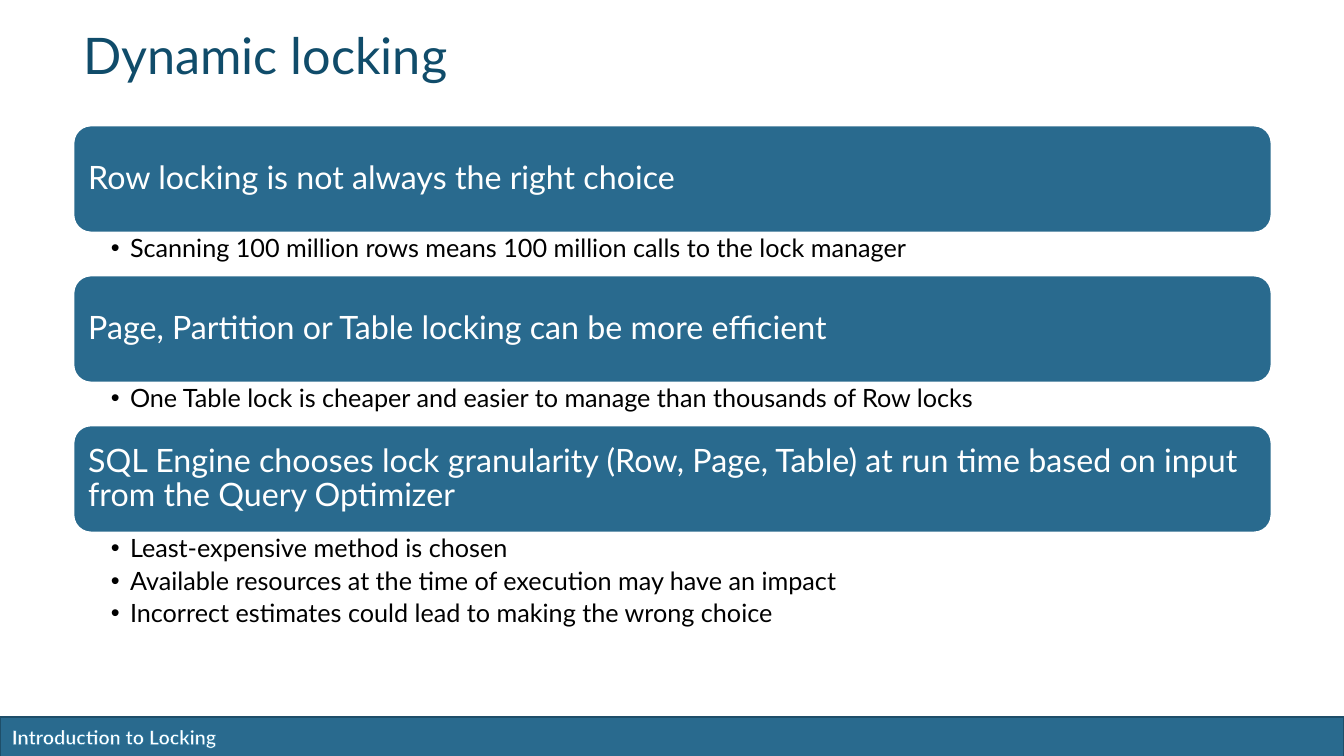
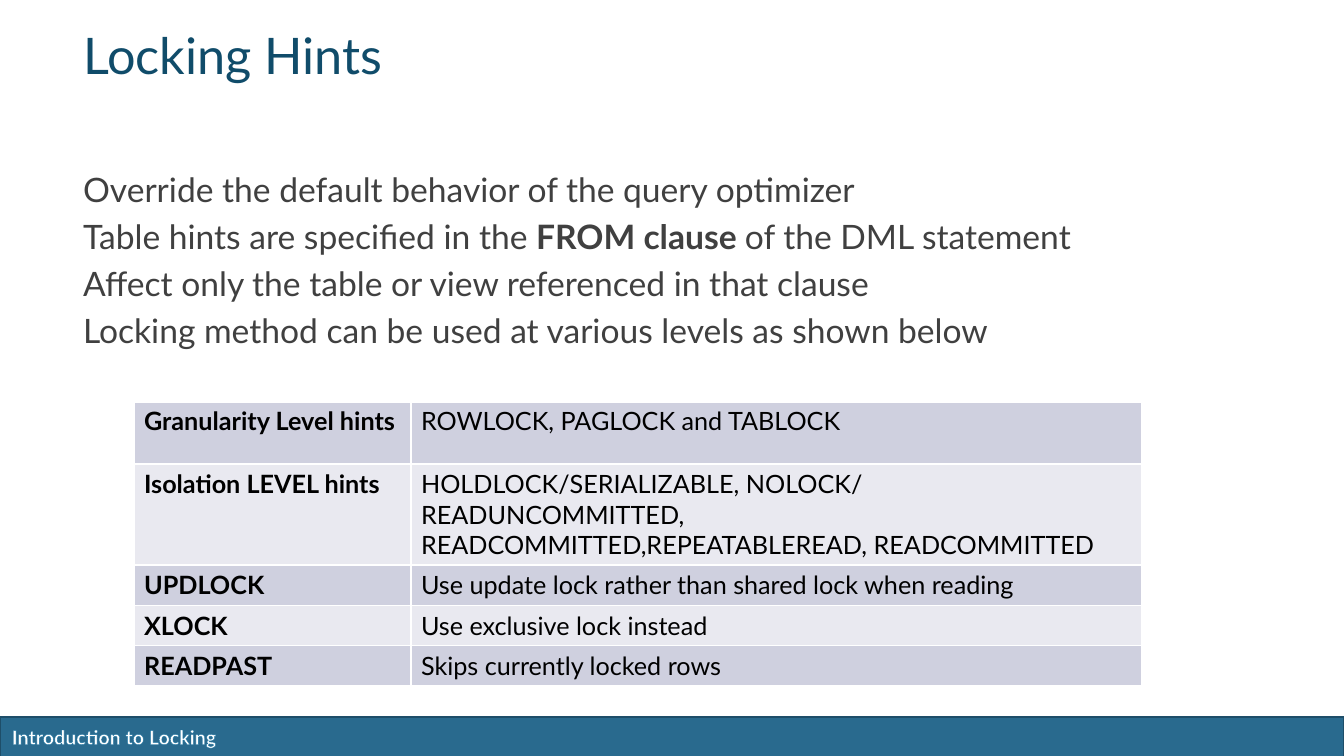
"""Build two slides on dynamic locking and locking hints."""
import pptx
import pptx.util
import pptx.dml.color
import pptx.enum.shapes
import pptx.enum.text
import pptx.oxml.ns
import lxml.etree

PX = 12192000 / 1344
Pt = pptx.util.Pt
Rgb = pptx.dml.color.RGBColor.from_string
Shape = pptx.enum.shapes.MSO_SHAPE
Align = pptx.enum.text.PP_ALIGN
Anchor = pptx.enum.text.MSO_ANCHOR
Auto = pptx.enum.text.MSO_AUTO_SIZE
qn = pptx.oxml.ns.qn
FONT = "Lato"
COLORS = {
    "band": "296A8E", "edge": "1E4E69", "glow": "1872A0", "title": "104C6A",
    "body": "404040", "white": "FFFFFF", "black": "000000",
    "dark": "CFD0DF", "light": "E9E9F0",
}


def px(*sizes):
    """Turn px lengths into EMU."""
    return [round(size * PX) for size in sizes]


def say(par, text, size, color, bold=False):
    """Add one run to a paragraph."""
    run = par.add_run()
    run.text = text
    run.font.name = FONT
    run.font.size = Pt(size)
    run.font.bold = bold
    run.font.color.rgb = Rgb(COLORS[color])
    return run


prs = pptx.Presentation()
prs.slide_width, prs.slide_height = px(1344, 756)
master = prs.slide_master

head = master.placeholders.get(pptx.enum.shapes.PP_PLACEHOLDER.TITLE)
head.left, head.top, head.width, head.height = px(73, 35, 1200, 50)

slides = []
for layout, title in ((5, "Dynamic locking"), (1, "Locking Hints")):
    slide = prs.slides.add_slide(prs.slide_layouts[layout])
    frame = slide.shapes.title.text_frame
    frame.auto_size = Auto.NONE
    par = frame.paragraphs[0]
    par.alignment = Align.LEFT
    par.line_spacing = Pt(35)
    say(par, title, 36, "title")
    slides.append(slide)
bars, hints = slides

band = bars.shapes.add_shape(Shape.RECTANGLE, *px(0, 717, 1344, 40))
band.shadow.inherit = False
band.fill.solid()
band.fill.fore_color.rgb = Rgb(COLORS["band"])
band.line.color.rgb = Rgb(COLORS["edge"])
band.line.width = Pt(2)
foot = bars.shapes.add_textbox(*px(2, 720, 611, 34))
foot.text_frame.word_wrap = True
run = say(foot.text_frame.paragraphs[0], "Introduction to Locking", 14, "white", True)
line = lxml.etree.Element(qn("a:ln"), w=str(Pt(0.8)))
fill = lxml.etree.SubElement(line, qn("a:solidFill"))
lxml.etree.SubElement(fill, qn("a:srgbClr"), val=COLORS["glow"])
run._r.get_or_add_rPr().insert(0, line)
for num, item in enumerate((band, foot), 20):
    item.element.nvSpPr.cNvPr.set("id", str(num))
    master.shapes.element.append(item.element)

topics = [
    ("Row locking is not always the right choice",
     ["Scanning 100 million rows means 100 million calls to the lock manager"]),
    ("Page, Partition or Table locking can be more efficient",
     ["One Table lock is cheaper and easier to manage than thousands of Row locks"]),
    ("SQL Engine chooses lock granularity (Row, Page, Table) at run time "
     "based on input from the Query Optimizer",
     ["Least-expensive method is chosen",
      "Available resources at the time of execution may have an impact",
      "Incorrect estimates could lead to making the wrong choice"]),
]
for num, (topic, points) in enumerate(topics):
    top = 125 + 150 * num
    bar = bars.shapes.add_shape(Shape.ROUNDED_RECTANGLE, *px(73, top, 1199, 108))
    bar.shadow.inherit = False
    bar.fill.solid()
    bar.fill.fore_color.rgb = Rgb(COLORS["band"])
    bar.line.color.rgb = Rgb(COLORS["white"])
    bar.line.width = Pt(2)
    frame = bar.text_frame
    frame.word_wrap = True
    frame.vertical_anchor = Anchor.MIDDLE
    (frame.margin_left, frame.margin_top,
     frame.margin_right, frame.margin_bottom) = px(10, 10, 10, 10)
    par = frame.paragraphs[0]
    par.alignment = Align.LEFT
    par.line_spacing = 0.9
    say(par, topic, 23, "white")

    box = bars.shapes.add_textbox(*px(73, top + 108, 1199, 10 + 32 * len(points)))
    frame = box.text_frame
    frame.word_wrap = True
    (frame.margin_left, frame.margin_top,
     frame.margin_right, frame.margin_bottom) = px(38, 3, 18, 3)
    for row, point in enumerate(points):
        par = frame.add_paragraph() if row else frame.paragraphs[0]
        par.line_spacing = 0.9
        par.space_after = Pt(3.6)
        say(par, point, 18, "black")
        props = par._p.get_or_add_pPr()
        hang = px(19)[0]
        props.set("marL", str(hang))
        props.set("indent", str(-hang))
        lxml.etree.SubElement(props, qn("a:buFont"), typeface="Arial")
        lxml.etree.SubElement(props, qn("a:buChar"), char="•")

body = hints.placeholders[1]
body.left, body.top, body.width, body.height = px(73, 164, 1199, 522)
frame = body.text_frame
frame.auto_size = Auto.NONE
lines = [
    [("Override the default behavior of the query optimizer", False)],
    [("Table hints are specified in the ", False), ("FROM clause ", True),
     ("of the DML statement", False)],
    [("Affect only the table or view referenced in that clause", False)],
    [("Locking method can be used at various levels as shown below", False)],
]
for row, parts in enumerate(lines):
    par = frame.add_paragraph() if row else frame.paragraphs[0]
    par.space_before = Pt(4.8)
    for text, bold in parts:
        say(par, text, 24, "body", bold)
    props = par._p.get_or_add_pPr()
    props.set("marL", "0")
    props.set("indent", "0")
    lxml.etree.SubElement(props, qn("a:buNone"))

rows = [
    (42, "white", "", []),
    (63, "dark", "Granularity Level hints", ["ROWLOCK, PAGLOCK and TABLOCK"]),
    (101, "light", "Isolation LEVEL hints",
     ["HOLDLOCK/SERIALIZABLE, NOLOCK/ READUNCOMMITTED,",
      "READCOMMITTED,REPEATABLEREAD, READCOMMITTED"]),
    (40, "dark", "UPDLOCK", ["Use update lock rather than shared lock when reading"]),
    (40, "light", "XLOCK", ["Use exclusive lock instead"]),
    (40, "dark", "READPAST", ["Skips currently locked rows"]),
]
high = sum(row[0] for row in rows)
table = hints.shapes.add_table(len(rows), 2, *px(134, 359, 1008, high)).table
for col, wide in zip(table.columns, px(277, 731)):
    col.width = wide
for num, (high, shade, name, texts) in enumerate(rows):
    table.rows[num].height = px(high)[0]
    for col, words in enumerate(([name] if name else [], texts)):
        cell = table.cell(num, col)
        props = cell._tc.get_or_add_tcPr()
        for side in "LRTB":
            wide = 3 if (num, side) in ((0, "B"), (1, "T")) else 1
            line = lxml.etree.SubElement(props, qn("a:ln" + side), w=str(Pt(wide)))
            fill = lxml.etree.SubElement(line, qn("a:solidFill"))
            lxml.etree.SubElement(fill, qn("a:srgbClr"), val=COLORS["white"])
        cell.fill.solid()
        cell.fill.fore_color.rgb = Rgb(COLORS[shade])
        frame = cell.text_frame
        for row, text in enumerate(words):
            par = frame.add_paragraph() if row else frame.paragraphs[0]
            say(par, text, 18, "black", col == 0)

prs.save("out.pptx")
